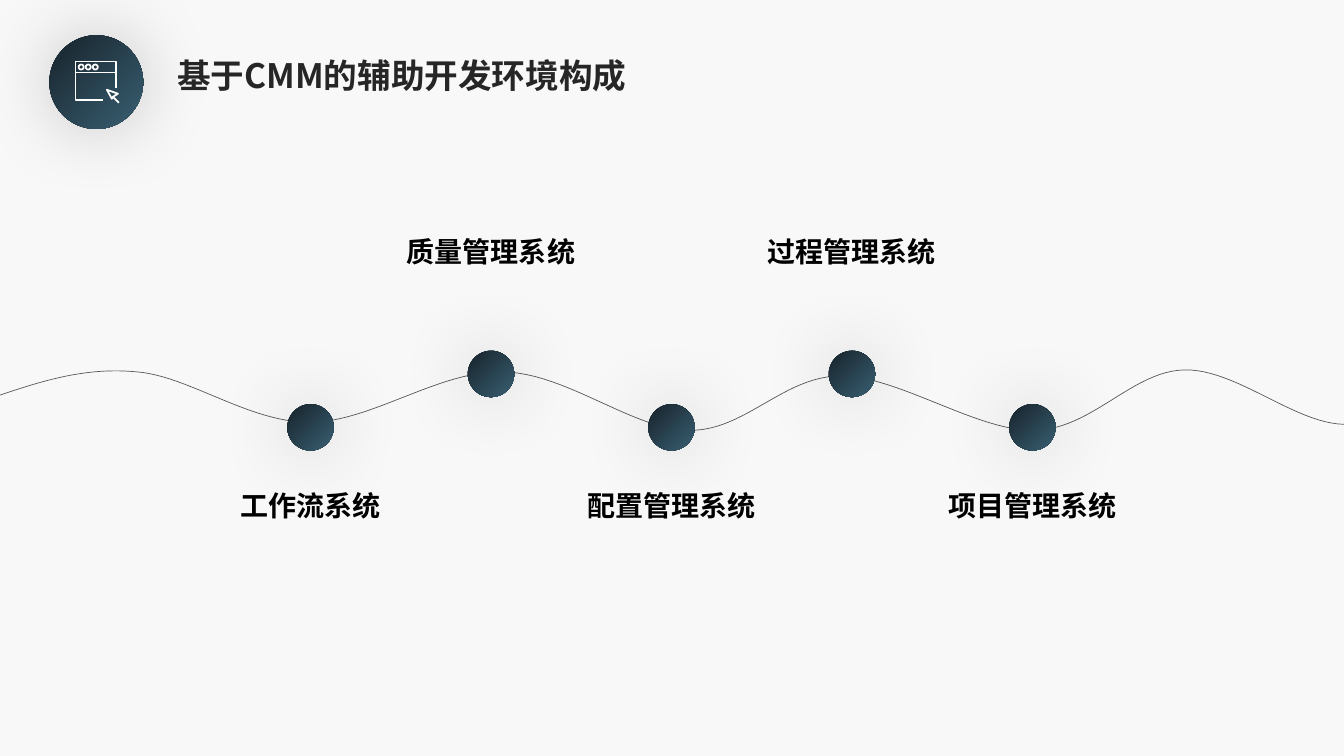
from itertools import chain

from lxml.etree import SubElement
from pptx import Presentation
from pptx.dml.color import RGBColor
from pptx.enum.shapes import MSO_SHAPE as Shape
from pptx.enum.text import MSO_AUTO_SIZE as AutoSize, PP_ALIGN as Align
from pptx.oxml.ns import qn
from pptx.util import Inches, Pt

COLORS = {
    "background": "F8F8F8",
    "dark": "17232B",
    "teal": "395F72",
    "title": "262626",
    "label": "000000",
    "wave": "595959",
    "icon": "FFFFFF",
    "shadow": "000000",
}
FONT = "Noto Sans CJK SC"
SYSTEMS = ["工作流系统", "质量管理系统", "配置管理系统", "过程管理系统", "项目管理系统"]
WAVE_START = (0, 0.25)
WAVE_CURVES = [
    ((0.42, 0.11), (0.85, -0.03), (1.36, 0.02)),
    ((1.87, 0.06), (2.47, 0.52), (3.07, 0.52)),
    ((3.68, 0.52), (4.36, 0), (4.99, 0.02)),
    ((5.62, 0.03), (6.27, 0.59), (6.83, 0.6)),
    ((7.39, 0.61), (7.77, 0.06), (8.34, 0.06)),
    ((8.91, 0.06), (9.69, 0.61), (10.26, 0.6)),
    ((10.83, 0.59), (11.23, 0.01), (11.75, 0)),
    ((12.26, -0.01), (12.84, 0.53), (13.33, 0.54)),
]
ICON_LINES = [
    [(0.41, 0.27), (0.41, 0.01), (0.01, 0.01), (0.01, 0.39), (0.28, 0.39)],
    [(0.01, 0.12), (0.41, 0.12)],
    [(0.37, 0.38), (0.32, 0.29), (0.43, 0.33), (0.38, 0.36), (0.37, 0.38)],
    [(0.38, 0.36), (0.44, 0.42)],
]


def rgb(name):
    """Return the named colour."""
    return RGBColor.from_string(COLORS[name])


def add_text(slide, box, text, size, color, align=Align.LEFT, spacing=1.0):
    """Place one bold paragraph in a wrapping text box."""
    frame = slide.shapes.add_textbox(*map(Inches, box)).text_frame
    frame.word_wrap = True
    frame.auto_size = AutoSize.SHAPE_TO_FIT_TEXT
    paragraph = frame.paragraphs[0]
    paragraph.alignment = align
    paragraph.line_spacing = spacing
    run = paragraph.add_run()
    run.text = text
    for name, value in {"size": Pt(size), "bold": True, "name": FONT}.items():
        setattr(run.font, name, value)
    run.font.color.rgb = rgb(color)
    SubElement(run._r.get_or_add_rPr(), qn("a:ea"), typeface=FONT)


def add_ball(slide, left, top, size):
    """Place a gradient circle with a soft shadow."""
    ball = slide.shapes.add_shape(Shape.OVAL, *map(Inches, (left, top, size, size)))
    ball.line.fill.background()
    ball.fill.gradient()
    ball.fill.gradient_angle = 315
    for stop, name in zip(ball.fill.gradient_stops, ("dark", "teal")):
        stop.color.rgb = rgb(name)
    ball.shadow.inherit = False
    effects = ball._element.spPr.find(qn("a:effectLst"))
    shadow = SubElement(effects, qn("a:outerShdw"), blurRad=str(Pt(53)), dist="0",
                        algn="ctr", rotWithShape="0")
    color = SubElement(shadow, qn("a:srgbClr"), val=COLORS["shadow"])
    SubElement(color, qn("a:alpha"), val="20000")


def style_outline(shape, color, width):
    """Leave a shape unfilled with a thin outline."""
    shape.fill.background()
    shape.line.color.rgb = rgb(color)
    shape.line.width = Pt(width)
    shape.shadow.inherit = False


def add_path(slide, left, top, points, color, width):
    """Draw an open outline through points relative to left and top."""
    start, *rest = [(Inches(left + x), Inches(top + y)) for x, y in points]
    builder = slide.shapes.build_freeform(*start)
    builder.add_line_segments(rest, close=False)
    style_outline(builder.convert_to_shape(), color, width)


def bezier(start, first, second, end, steps=24):
    """Return the points of a cubic curve after its start."""
    times = [step / steps for step in range(1, steps + 1)]
    return [
        tuple((1 - t) ** 3 * a + 3 * (1 - t) ** 2 * t * b + 3 * (1 - t) * t * t * c + t ** 3 * d
              for a, b, c, d in zip(start, first, second, end))
        for t in times
    ]


def add_icon(slide, left, top):
    """Draw a browser window with a cursor."""
    for points in ICON_LINES:
        add_path(slide, left, top, points, "icon", 1.25)
    for index in range(3):
        box = (left + 0.04 + 0.07 * index, top + 0.04, 0.05, 0.05)
        dot = slide.shapes.add_shape(Shape.OVAL, *map(Inches, box))
        style_outline(dot, "icon", 1.25)


def add_header(slide, left, top):
    """Place the icon badge and the title."""
    add_ball(slide, left, top, 0.93)
    add_icon(slide, left + 0.25, top + 0.25)
    add_text(slide, (left + 1.17, top + 0.15, 4.78, 0.5), "基于CMM的辅助开发环境构成", 24, "title")


def add_wave(slide, left, top):
    """Draw the wavy timeline."""
    starts = [WAVE_START] + [curve[-1] for curve in WAVE_CURVES]
    curves = (bezier(start, *curve) for start, curve in zip(starts, WAVE_CURVES))
    add_path(slide, left, top, [WAVE_START, *chain.from_iterable(curves)], "wave", 0.5)


def add_systems(slide, left, top, step=1.79, size=0.46, label_width=2.24):
    """Place the balls and labels, alternating low and high."""
    for index, system in enumerate(SYSTEMS):
        high = index % 2
        ball_left = left + step * index
        add_ball(slide, ball_left, top + (1.27 if high else 1.8), size)
        label_left = ball_left + (size - label_width) / 2
        label_top = top if high else top + 2.52
        add_text(slide, (label_left, label_top, label_width, 0.5), system, 20, "label",
                 Align.CENTER, 1.2)


def main():
    """Build and save the slide."""
    presentation = Presentation()
    presentation.slide_width = Inches(13.33)
    presentation.slide_height = Inches(7.5)
    slide = presentation.slides.add_slide(presentation.slide_layouts[6])
    slide.background.fill.solid()
    slide.background.fill.fore_color.rgb = rgb("background")
    add_header(slide, 0.49, 0.35)
    add_wave(slide, 0, 3.67)
    add_systems(slide, 2.85, 2.21)
    presentation.save("out.pptx")


if __name__ == "__main__":
    main()
